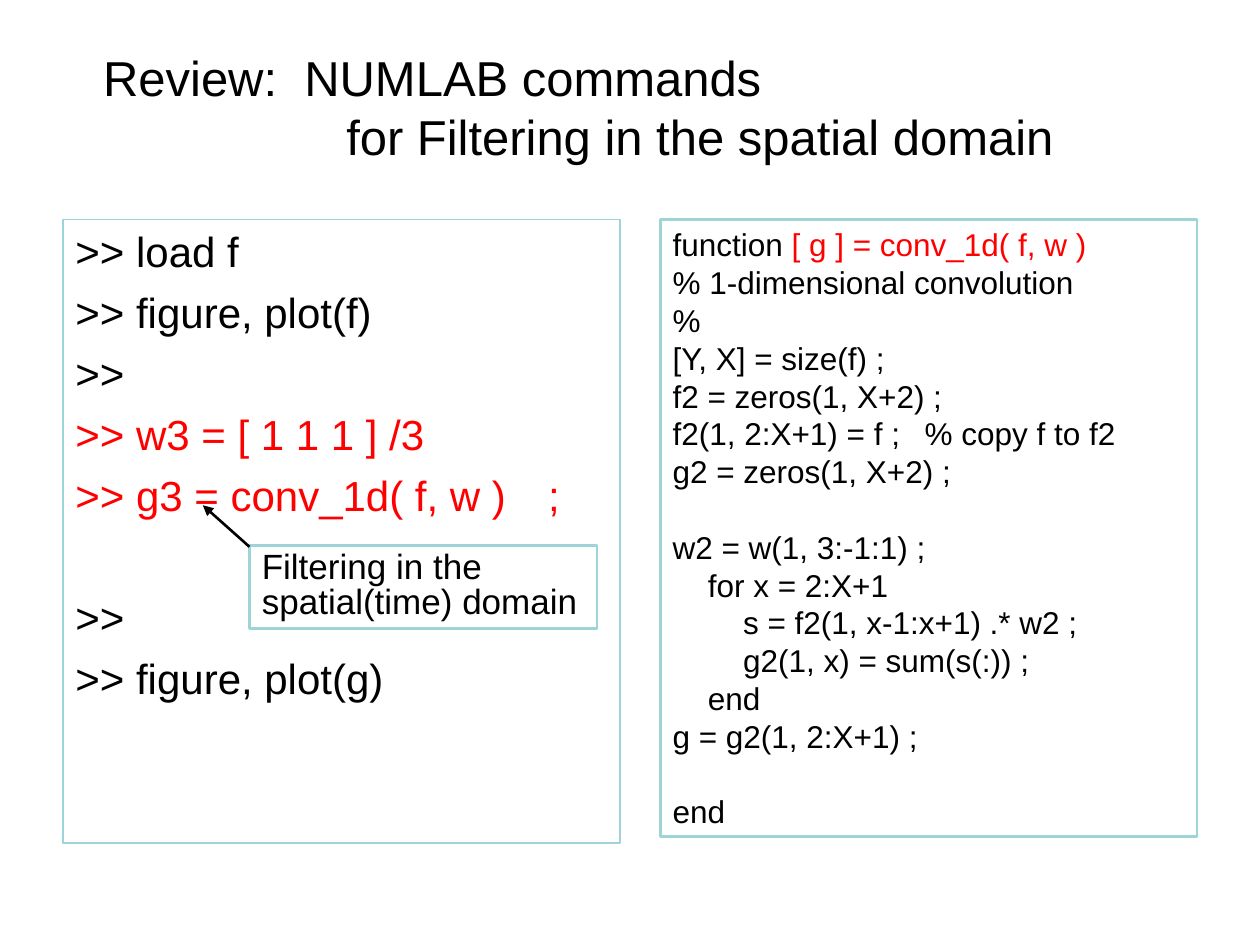
"""Build a review slide on NUMLAB commands for spatial filtering."""
from dataclasses import dataclass

from lxml.etree import SubElement as Sub
from pptx import Presentation
from pptx.dml.color import RGBColor as Rgb
from pptx.enum.shapes import MSO_CONNECTOR as Conn, MSO_SHAPE as Kind
from pptx.enum.text import MSO_ANCHOR as Anchor, PP_ALIGN as Align
from pptx.oxml.ns import qn
from pptx.util import Inches, Pt


@dataclass(frozen=True)
class Theme:
    font: str = "Arial"
    ink: Rgb = Rgb(0, 0, 0)
    red: Rgb = Rgb(255, 0, 0)
    edge: Rgb = Rgb(0x9E, 0xD3, 0xD7)
    title: int = 28
    shell: int = 24
    note: int = 20
    code: int = 18


T = Theme()
TAB = 2.15

TITLE = [
    ([("Review:  NUMLAB commands", T.ink)], 0.22, 0),
    ([("for Filtering in the spatial domain", T.ink)], 2.15, 0),
]
SHELL = [
    ([(">> load f", T.ink)], 0, 6),
    ([(">> figure, plot(f)", T.ink)], 0, 6),
    ([(">>", T.ink)], 0, 6),
    ([(">> w3 = [ 1 1 1 ] /3", T.red)], 0, 6),
    ([(">> g3 = conv_1d( f, w )\u3000;", T.red)], 0, 6),
    ([(">>", T.ink)], 0, 41),
    ([(">> figure, plot(g)", T.ink)], 0, 6),
]
CODE = [
    ([("function ", T.ink), ("[ g ] = conv_1d( f, w )", T.red)], 0, 0),
    ([("% 1-dimensional convolution", T.ink)], 0, 0),
    ([("%", T.ink)], 0, 0),
    ([("[Y, X] = size(f) ;", T.ink)], 0, 0),
    ([("f2 = zeros(1, X+2) ;", T.ink)], 0, 0),
    ([("f2(1, 2:X+1) = f ;\t% copy f to f2", T.ink)], 0, 0),
    ([("g2 = zeros(1, X+2) ;", T.ink)], 0, 0),
    ([("w2 = w(1, 3:-1:1) ;", T.ink)], 0, 21.6),
    ([("for x = 2:X+1", T.ink)], 0.28, 0),
    ([("s = f2(1, x-1:x+1) .* w2 ;", T.ink)], 0.56, 0),
    ([("g2(1, x) = sum(s(:)) ;", T.ink)], 0.56, 0),
    ([("end", T.ink)], 0.28, 0),
    ([("g = g2(1, 2:X+1) ;", T.ink)], 0, 0),
    ([("end", T.ink)], 0, 21.6),
]
NOTE = [([("Filtering in the spatial(time) domain", T.ink)], 0, 0)]

BOXES = [
    ((0.5, 0.3, 9, 1.09), TITLE, T.title, 0, Anchor.MIDDLE, None),
    ((0.5, 1.74, 4.42, 4.95), SHELL, T.shell, 0.75, Anchor.TOP, None),
    ((5.24, 1.74, 4.26, 4.9), CODE, T.code, 1.5, Anchor.TOP, None),
    ((1.98, 4.33, 2.76, 0.66), NOTE, T.note, 1.5, Anchor.TOP, Pt(20)),
]
ARROW = (1.98, 4.34, 1.61, 4.01)


def write(frame, lines, size, lead):
    """Fill a text frame with styled lines."""
    for i, (runs, dent, gap) in enumerate(lines):
        para = frame.add_paragraph() if i else frame.paragraphs[0]
        para.alignment = Align.LEFT
        para.space_before = Pt(gap)
        if lead:
            para.line_spacing = lead
        props = para._p.get_or_add_pPr()
        props.set("marL", str(Inches(dent)))
        props.set("indent", "0")
        if any("\t" in text for text, _ in runs):
            tabs = Sub(props, qn("a:tabLst"))
            Sub(tabs, qn("a:tab"), pos=str(Inches(TAB)), algn="l")
        for text, color in runs:
            run = para.add_run()
            run.text = text
            run.font.name = T.font
            run.font.size = Pt(size)
            run.font.color.rgb = color


def add_box(slide, at, lines, size, width, anchor, lead):
    """Add one box, outlined when a line width is given."""
    place = [Inches(v) for v in at]
    if width:
        box = slide.shapes.add_shape(Kind.RECTANGLE, *place)
        box.shadow.inherit = False
        box.fill.background()
        box.line.color.rgb = T.edge
        box.line.width = Pt(width)
    else:
        box = slide.shapes.add_textbox(*place)
    frame = box.text_frame
    frame.word_wrap = True
    frame.vertical_anchor = anchor
    write(frame, lines, size, lead)


def add_arrow(slide, ends):
    """Add the arrow from the note to the command."""
    line = slide.shapes.add_connector(Conn.STRAIGHT, *map(Inches, ends))
    line.line.color.rgb = T.ink
    line.line.width = Pt(1.5)
    Sub(line.line._get_or_add_ln(), qn("a:tailEnd"), type="triangle")
    Sub(line._element.spPr, qn("a:effectLst"))


deck = Presentation()
deck.slide_width, deck.slide_height = Inches(10), Inches(7.5)
page = deck.slides.add_slide(deck.slide_layouts[6])
for spec in BOXES:
    add_box(page, *spec)
add_arrow(page, ARROW)
deck.save("out.pptx")
